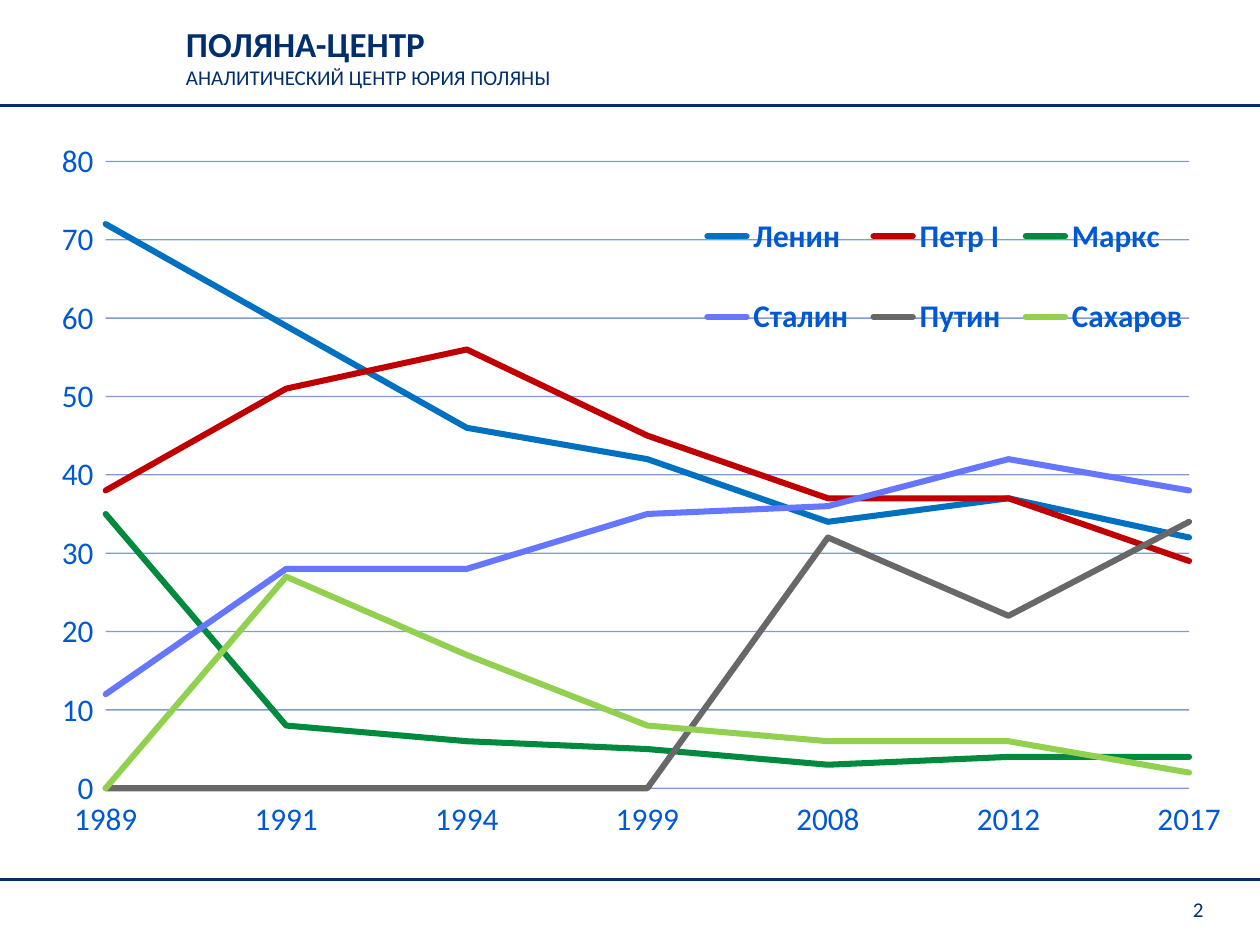
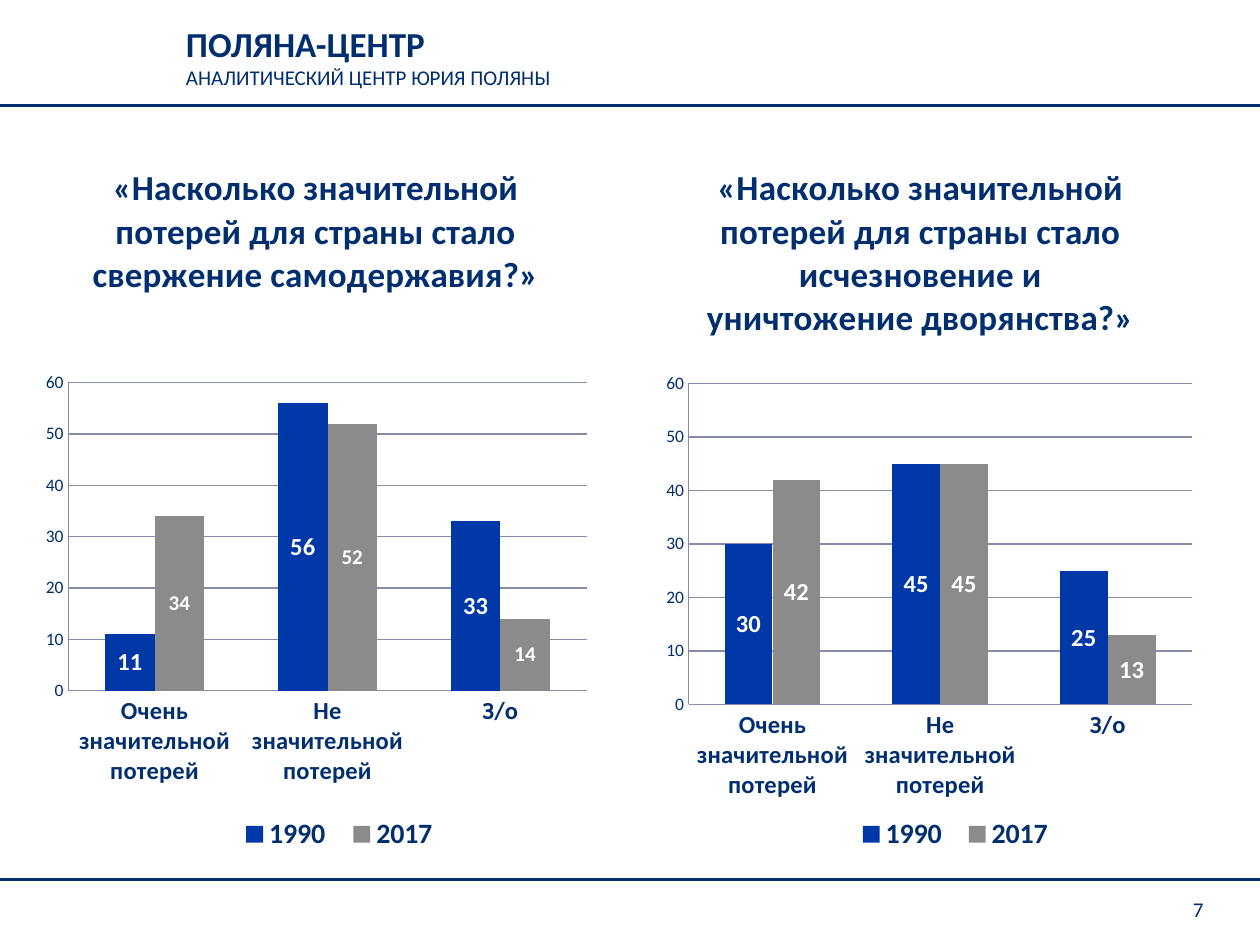
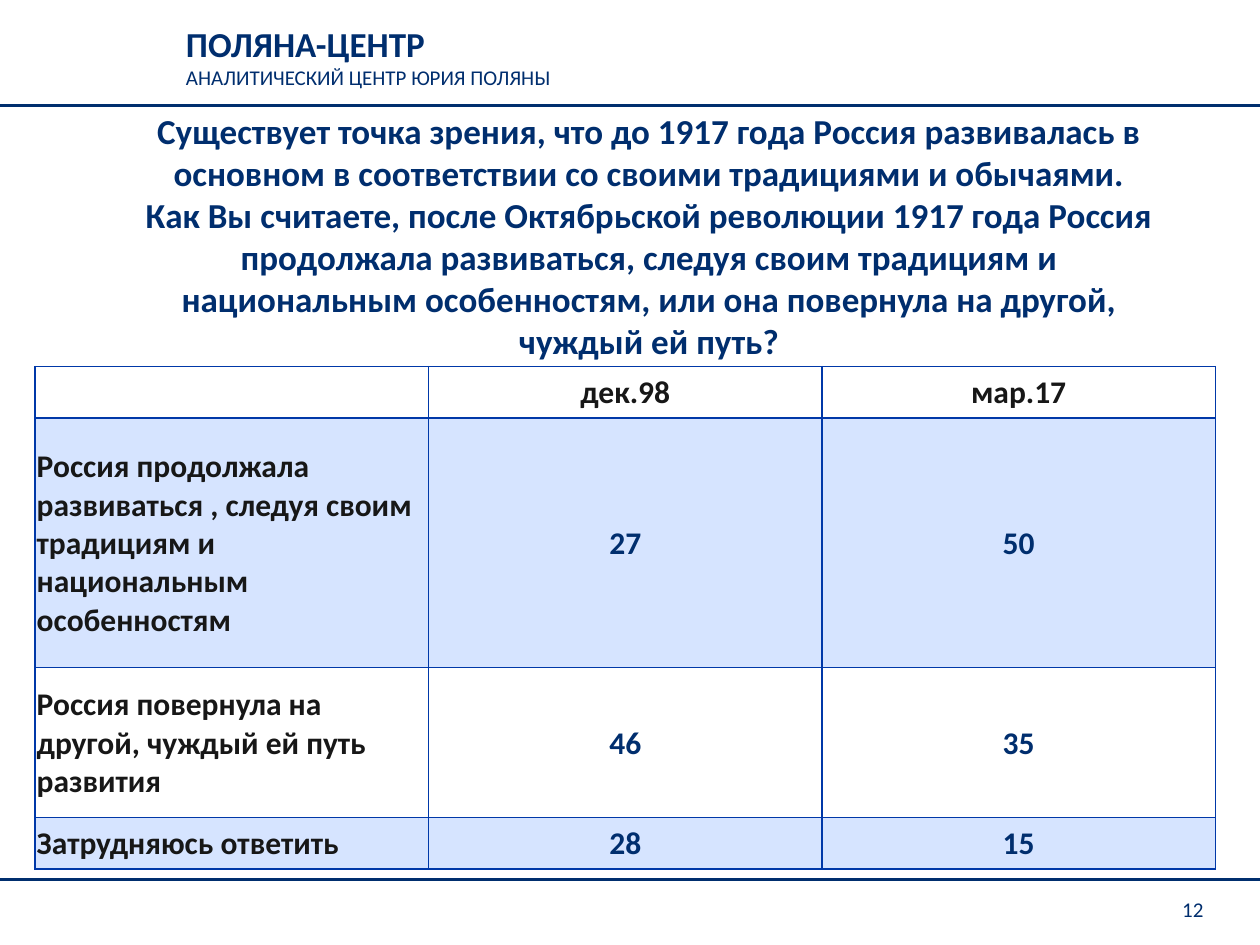
from lxml.etree import SubElement
from pptx import Presentation
from pptx.chart.data import CategoryChartData
from pptx.dml.color import RGBColor
from pptx.enum.chart import XL_CHART_TYPE as ChartType
from pptx.enum.chart import XL_LABEL_POSITION as LabelPosition
from pptx.enum.chart import XL_LEGEND_POSITION as LegendPosition
from pptx.enum.chart import XL_TICK_MARK as TickMark
from pptx.enum.shapes import MSO_CONNECTOR as Connector
from pptx.enum.text import MSO_ANCHOR as Anchor
from pptx.enum.text import PP_ALIGN as Align
from pptx.oxml.ns import qn
from pptx.util import Cm, Pt

NAVY = RGBColor(0x00, 0x2E, 0x6E)
BLUE = RGBColor(0x00, 0x38, 0xA8)
AXIS_BLUE = RGBColor(0x00, 0x58, 0xD2)
PALE_BLUE = RGBColor(0xD6, 0xE4, 0xFF)
GRAY = RGBColor(0x8B, 0x8B, 0x8B)
GRID_GRAY = RGBColor(0x86, 0x8B, 0xA9)
INK = RGBColor(0x17, 0x17, 0x17)
WHITE = RGBColor(0xFF, 0xFF, 0xFF)

FIGURE_YEARS = ["1989", "1991", "1994", "1999", "2008", "2012", "2017"]
FIGURES = [
    ("Ленин", [72, 59, 46, 42, 34, 37, 32], RGBColor(0x00, 0x70, 0xC0)),
    ("Петр I", [38, 51, 56, 45, 37, 37, 29], RGBColor(0xC0, 0x00, 0x00)),
    ("Маркс", [35, 8, 6, 5, 3, 4, 4], RGBColor(0x00, 0x8A, 0x3E)),
    ("Сталин", [12, 28, 28, 35, 36, 42, 38], RGBColor(0x65, 0x77, 0xFF)),
    ("Путин", [0, 0, 0, 0, 32, 22, 34], RGBColor(0x68, 0x68, 0x68)),
    ("Сахаров", [0, 27, 17, 8, 6, 6, 2], RGBColor(0x92, 0xD0, 0x50)),
]
LOSS_ANSWERS = ["Очень значительной потерей", "Не значительной потерей", "З/о"]
QUESTION = [
    "Существует точка зрения, что до 1917 года Россия развивалась в основном "
    "в соответствии со своими традициями и обычаями.",
    "Как Вы считаете, после Октябрьской революции 1917 года Россия продолжала "
    "развиваться, следуя своим традициям и национальным особенностям, или она "
    "повернула на другой, чуждый ей путь?",
]
PATH_ROWS = [
    ("", "дек.98", "мар.17"),
    ("Россия продолжала развиваться , следуя своим традициям и национальным "
     "особенностям", "27", "50"),
    ("Россия повернула на другой, чуждый ей путь развития", "46", "35"),
    ("Затрудняюсь ответить", "28", "15"),
]


def style_font(font, size, color=NAVY, bold=False):
    font.name = "Calibri"
    font.size = Pt(size)
    font.bold = bold
    font.color.rgb = color


def set_layout(parent, index, left, top, width, height, inner=False):
    """Place a chart part by fractions of the chart's size."""
    layout = parent.find(qn("c:layout"))
    if layout is not None:
        parent.remove(layout)
    layout = SubElement(parent, qn("c:layout"))
    parent.insert(index, layout)
    manual = SubElement(layout, qn("c:manualLayout"))
    settings = [("layoutTarget", "inner")] if inner else []
    settings += [("xMode", "edge"), ("yMode", "edge"), ("x", left),
                 ("y", top), ("w", width), ("h", height)]
    for name, value in settings:
        SubElement(manual, qn(f"c:{name}")).set("val", str(value))


def start_lines_on_axis(chart):
    """Let the first and last categories sit on the edges of the plot."""
    value_axis = chart.element.find(f".//{qn('c:valAx')}")
    cross = value_axis.find(qn("c:crossBetween"))
    if cross is None:
        cross = SubElement(value_axis, qn("c:crossBetween"))
        value_axis.find(qn("c:crosses")).addnext(cross)
    cross.set("val", "midCat")


def set_borders(cell, color, width):
    properties = cell._tc.get_or_add_tcPr()
    for index, side in enumerate(("lnL", "lnR", "lnT", "lnB")):
        line = SubElement(properties, qn(f"a:{side}"), w=str(Pt(width)))
        properties.insert(index, line)
        fill = SubElement(line, qn("a:solidFill"))
        SubElement(fill, qn("a:srgbClr"), val=str(color))


class SurveyDeck:
    """Holds the presentation and the page being filled; lengths are in cm."""

    def __init__(self):
        self.deck = Presentation()
        self.deck.slide_width = Cm(25.4)
        self.deck.slide_height = Cm(19.05)
        self.page = None

    def add_page(self, number):
        self.page = self.deck.slides.add_slide(self.deck.slide_layouts[6])
        header = self.add_text((3.5, 0.33, 13.41, 1.63),
                               ["ПОЛЯНА-ЦЕНТР", "АНАЛИТИЧЕСКИЙ ЦЕНТР ЮРИЯ ПОЛЯНЫ"], 12)
        style_font(header.paragraphs[0].font, 20, bold=True)
        for height in (2.13, 17.73):
            self.add_rule(height)
        footer = self.add_text((22.71, 17.93, 1.8, 0.79), [str(number)], 12,
                               align=Align.RIGHT)
        footer.vertical_anchor = Anchor.MIDDLE

    def add_text(self, place, lines, size, bold=False, align=Align.LEFT):
        frame = self.page.shapes.add_textbox(*map(Cm, place)).text_frame
        frame.word_wrap = True
        frame.text = "\n".join(lines)
        for para in frame.paragraphs:
            para.alignment = align
            style_font(para.font, size, bold=bold)
        return frame

    def add_rule(self, height):
        rule = self.page.shapes.add_connector(
            Connector.STRAIGHT, 0, Cm(height), self.deck.slide_width, Cm(height))
        rule.line.color.rgb = NAVY
        rule.line.width = Pt(1.5)
        SubElement(rule._element.spPr, qn("a:effectLst"))

    def add_chart(self, kind, place, categories, series, plot_place, legend_place,
                  legend_position, legend_font):
        data = CategoryChartData()
        data.categories = categories
        for name, values, *_ in series:
            data.add_series(name, values)
        chart = self.page.shapes.add_chart(kind, *map(Cm, place), data).chart
        style_font(chart.font, 10)
        chart.has_title = False
        chart.has_legend = True
        chart.legend.position = legend_position
        style_font(chart.legend.font, *legend_font, bold=True)
        chart.plots[0].vary_by_categories = False
        chart.value_axis.has_major_gridlines = True
        root = chart.element
        set_layout(root.find(f".//{qn('c:plotArea')}"), 0, *plot_place, inner=True)
        set_layout(root.find(f".//{qn('c:legend')}"), 1, *legend_place)
        return chart

    def add_line_chart(self, place, categories, series):
        chart = self.add_chart(ChartType.LINE, place, categories, series,
                               (0.06, 0.051, 0.923, 0.865), (0.56, 0.07, 0.43, 0.28),
                               LegendPosition.RIGHT, (18, AXIS_BLUE))
        chart.legend.include_in_layout = True
        for axis in (chart.category_axis, chart.value_axis):
            axis.major_tick_mark = TickMark.CROSS
            axis.format.line.fill.background()
            style_font(axis.tick_labels.font, 18, AXIS_BLUE)
        grid = chart.value_axis.major_gridlines.format.line
        grid.color.rgb = BLUE
        grid.width = Pt(0.75)
        for drawn, (_, _, color) in zip(chart.plots[0].series, series):
            drawn.smooth = False
            drawn.format.line.color.rgb = color
            drawn.format.line.width = Pt(3.5)
        root = chart.element
        for drawn in root.iter(qn("c:ser")):
            drawn.find(f".//{qn('a:ln')}").set("cap", "rnd")
        grid_color = root.find(f".//{qn('c:majorGridlines')}//{qn('a:srgbClr')}")
        SubElement(grid_color, qn("a:alpha"), val="49000")
        start_lines_on_axis(chart)

    def add_column_chart(self, place, title, categories, series, plot_place,
                         legend_left):
        chart = self.add_chart(ChartType.COLUMN_CLUSTERED, place, categories, series,
                               plot_place, (legend_left, 0.93, 0.38, 0.07),
                               LegendPosition.TOP, (16, NAVY))
        chart.legend.include_in_layout = False
        frame = chart.chart_title.text_frame
        frame.text = title
        style_font(frame.paragraphs[0].font, 20, bold=True)
        chart.chart_title.include_in_layout = False
        chart.plots[0].gap_width = 150
        chart.plots[0].overlap = 0
        values = chart.value_axis
        values.minimum_scale, values.maximum_scale, values.major_unit = 0, 60, 10
        for part in (values, values.major_gridlines, chart.category_axis):
            part.format.line.color.rgb = GRID_GRAY
            part.format.line.width = Pt(0.75)
        for axis in (values, chart.category_axis):
            axis.major_tick_mark = TickMark.NONE
        style_font(values.tick_labels.font, 10)
        style_font(chart.category_axis.tick_labels.font, 14, bold=True)
        for drawn, (_, _, color, label_size) in zip(chart.plots[0].series, series):
            drawn.format.fill.solid()
            drawn.format.fill.fore_color.rgb = color
            labels = drawn.data_labels
            labels.show_value = True
            labels.position = LabelPosition.CENTER
            style_font(labels.font, label_size, WHITE, bold=True)

    def add_table(self, left, top, column_width, row_heights, rows):
        size = len(rows), len(rows[0])
        table = self.page.shapes.add_table(
            *size, Cm(left), Cm(top), Cm(column_width * size[1]),
            Cm(sum(row_heights))).table
        table.first_row = table.horz_banding = False
        for column in table.columns:
            column.width = Cm(column_width)
        for row, height in zip(table.rows, row_heights):
            row.height = Cm(height)
        for row_index, texts in enumerate(rows):
            for column_index, text in enumerate(texts):
                self.fill_cell(table.cell(row_index, column_index), text,
                               is_label=column_index == 0,
                               is_header=row_index == 0, shaded=row_index % 2 == 1)

    def fill_cell(self, cell, text, is_label, is_header, shaded):
        cell.text = text
        cell.vertical_anchor = Anchor.MIDDLE
        cell.margin_left = cell.margin_right = cell.margin_top = Cm(0.03)
        cell.margin_bottom = 0
        if shaded:
            cell.fill.solid()
            cell.fill.fore_color.rgb = PALE_BLUE
        else:
            cell.fill.background()
        set_borders(cell, BLUE, 1)
        para = cell.text_frame.paragraphs[0]
        para.alignment = Align.LEFT if is_label else Align.CENTER
        style_font(para.font, 18, INK if is_label or is_header else NAVY, bold=True)


def main():
    survey = SurveyDeck()

    survey.add_page(2)
    survey.add_line_chart((0.71, 2.51, 23.9, 14.61), FIGURE_YEARS, FIGURES)

    survey.add_page(7)
    survey.add_column_chart(
        (0.41, 2.72, 11.91, 14.61),
        "«Насколько значительной потерей для страны стало свержение самодержавия?»",
        LOSS_ANSWERS, [("1990", [11, 56, 33], BLUE, 14), ("2017", [34, 52, 14], GRAY, 12)],
        (0.081, 0.342, 0.878, 0.425), 0.35)
    survey.add_column_chart(
        (12.7, 2.72, 11.71, 14.61),
        "«Насколько значительной потерей для страны стало исчезновение и "
        "уничтожение дворянства?»",
        LOSS_ANSWERS, [("1990", [30, 45, 25], BLUE, 14), ("2017", [42, 45, 13], GRAY, 14)],
        (0.101, 0.343, 0.866, 0.443), 0.37)

    survey.add_page(12)
    survey.add_text((2.67, 2.08, 20.83, 5.38), QUESTION, 20, bold=True,
                    align=Align.CENTER)
    survey.add_table(0.71, 7.39, 7.93, (1.04, 5.03, 3.02, 1.04), PATH_ROWS)

    survey.deck.save("out.pptx")


if __name__ == "__main__":
    main()
